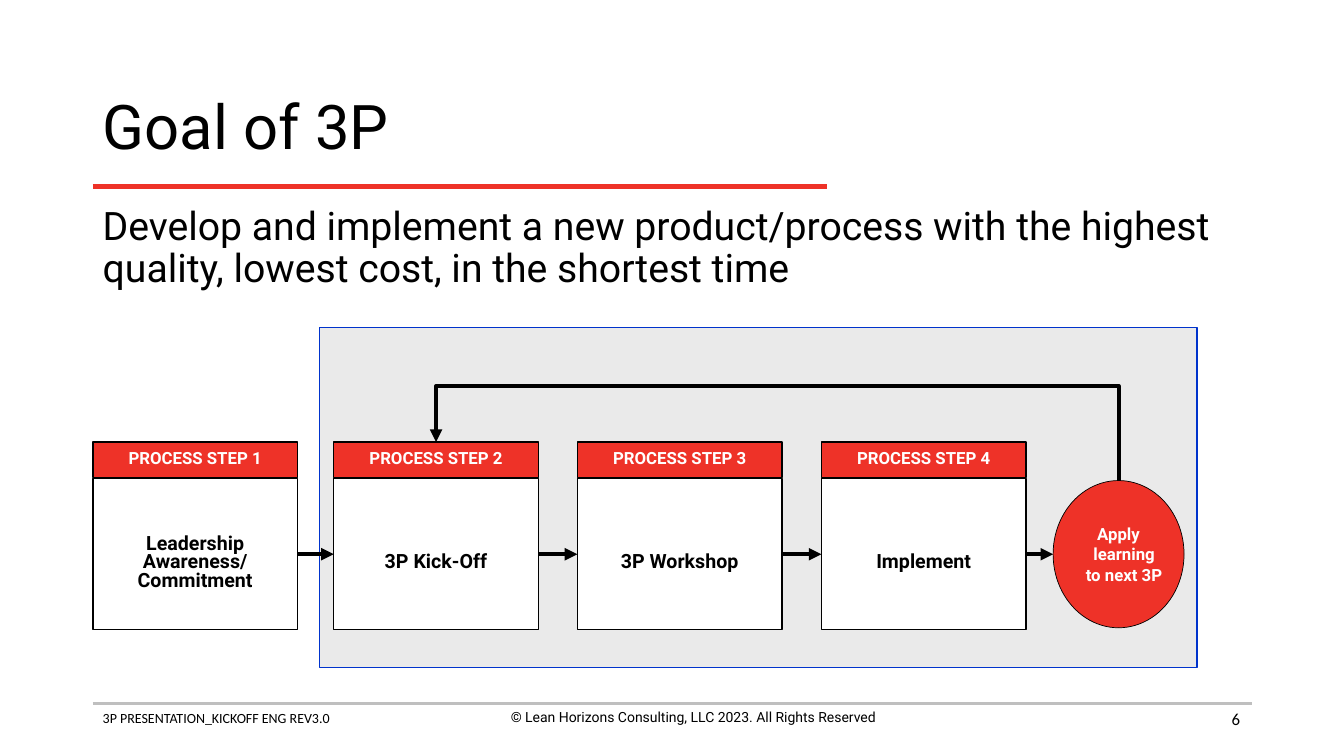
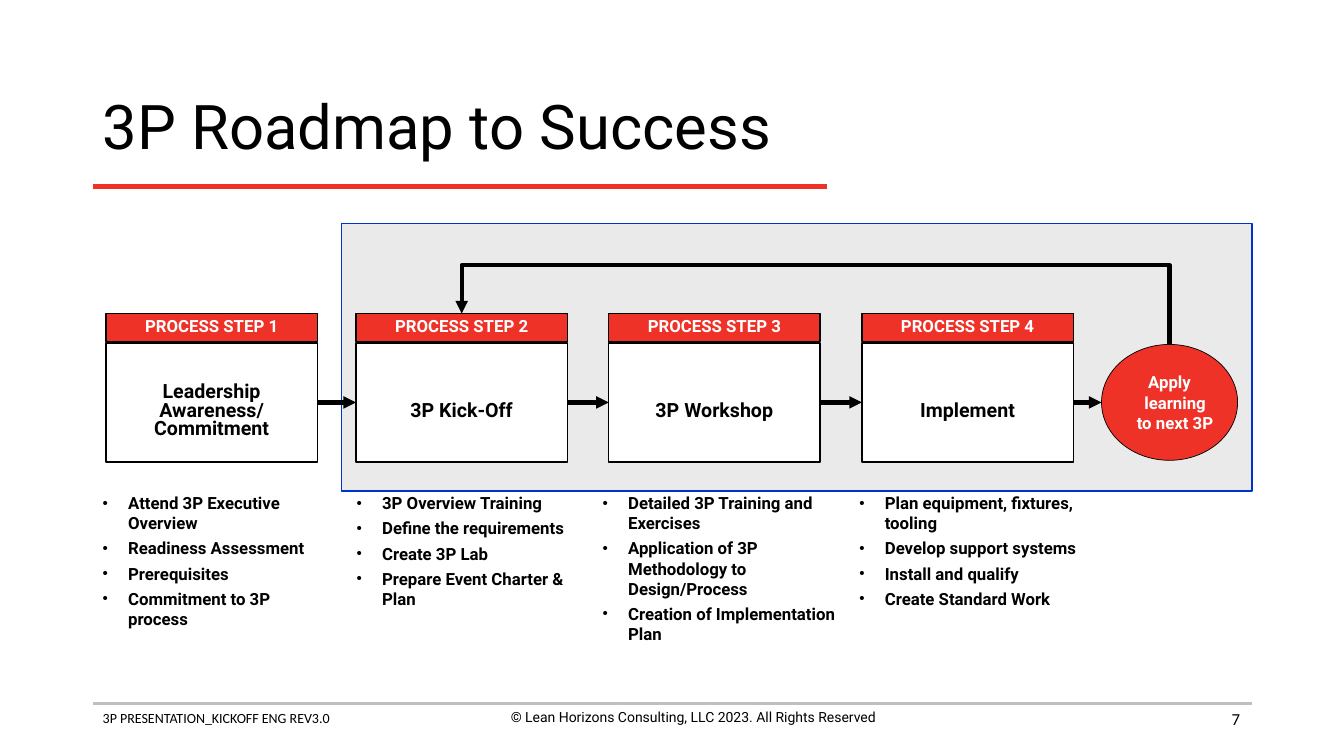
"""Builds two slides on the goal and the roadmap of a 3P process."""
from lxml import etree
from pptx import Presentation
from pptx import util as u
from pptx.dml.color import RGBColor
from pptx.enum import shapes, text
from pptx.oxml.ns import qn

RED, BLACK, WHITE, GREY = "EE3228", "000000", "FFFFFF", "EAEAEA"
hue = RGBColor.from_string
RECT, OVAL = shapes.MSO_SHAPE.RECTANGLE, shapes.MSO_SHAPE.OVAL
LINE, ELBOW = shapes.MSO_CONNECTOR.STRAIGHT, shapes.MSO_CONNECTOR.ELBOW
LEFT, MID, RIGHT = text.PP_ALIGN.LEFT, text.PP_ALIGN.CENTER, text.PP_ALIGN.RIGHT


def block(page, spot, lines=(), size=12, ink=BLACK, kind=None, fill=None, edge=BLACK,
          width=1, align=LEFT, space=1, bold=False, face="Roboto", anchor="MIDDLE",
          pad=(0.25, 0.13, 0.25, 0.13), hang=0, bullet=False):
    spot = [u.Cm(n) for n in spot]
    if kind is None:
        item = page.shapes.add_textbox(*spot)
    else:
        item = page.shapes.add_shape(kind, *spot)
        item.shadow.inherit = False
        item.fill.solid()
        item.fill.fore_color.rgb = hue(fill)
        item.line.color.rgb = hue(edge)
        item.line.width = u.Pt(width)
    frame = item.text_frame
    frame.word_wrap = kind is None
    frame.vertical_anchor = text.MSO_ANCHOR[anchor]
    (frame.margin_left, frame.margin_top,
     frame.margin_right, frame.margin_bottom) = [u.Cm(n) for n in pad]
    for i, line in enumerate(lines):
        para = frame.add_paragraph() if i else frame.paragraphs[0]
        prop = para._p.get_or_add_pPr()
        if hang:
            prop.set("marL", str(u.Cm(hang)))
            prop.set("indent", str(-u.Cm(hang)))
        if bullet:
            etree.SubElement(prop, qn("a:buSzPct")).set("val", "90000")
            etree.SubElement(prop, qn("a:buFont")).set("typeface", "Arial")
            etree.SubElement(prop, qn("a:buChar")).set("char", "•")
        para.alignment = align
        para.line_spacing = space
        if i:
            para.space_before = u.Pt(size * 0.3)
        for j, part in enumerate(line.split("\n")):
            if j:
                para.add_line_break()
            run = para.add_run()
            run.text = part
            run.font.size = u.Pt(size)
            run.font.name = face
            run.font.bold = bold
            run.font.color.rgb = hue(ink)


def link(page, ends, ink=BLACK, width=3, arrow=True, kind=LINE):
    item = page.shapes.add_connector(kind, *[u.Cm(n) for n in ends])
    item.line.color.rgb = hue(ink)
    item.line.width = u.Pt(width)
    prop = item.element.spPr
    if arrow:
        etree.SubElement(prop.find(qn("a:ln")), qn("a:tailEnd")).set("type", "triangle")
    etree.SubElement(prop, qn("a:effectLst"))
    return prop


steps = ["Leadership\nAwareness/\nCommitment", "3P Kick-Off", "3P Workshop", "Implement"]
tasks = [
    (2.34, 5.87, ["Attend 3P Executive Overview", "Readiness Assessment",
                  "Prerequisites", "Commitment to 3P process"]),
    (8.74, 6.45, ["3P Overview Training", "Define the requirements",
                  "Create 3P Lab", "Prepare Event Charter & Plan"]),
    (14.94, 6.45, ["Detailed 3P Training and Exercises",
                   "Application of 3P Methodology to Design/Process",
                   "Creation of Implementation Plan"]),
    (21.41, 6.4, ["Plan equipment, fixtures, tooling", "Develop support systems",
                  "Install and qualify", "Create Standard Work"]),
]
goal = ("Develop and implement a new product/process with the highest quality, "
        "lowest cost, in the shortest time")
plans = [
    dict(title="Goal of 3P", goal=goal, tasks=[], panel=(8.05, 8.26, 22.12, 8.56),
         xs=[2.34, 8.41, 14.55, 20.7], top=12.06, wide=5.16, tall=3.81, head=0.89,
         oval=(26.54, 3.3, 3.71), turn=9.73),
    dict(title="3P Roadmap to Success", goal="", tasks=tasks, panel=(8.61, 5.64, 22.94, 6.73),
         xs=[2.67, 8.97, 15.34, 21.72], top=8.64, wide=5.33, tall=3, head=0.71,
         oval=(27.76, 3.43, 2.92), turn=6.68),
]

deck = Presentation()
deck.slide_width, deck.slide_height = u.Cm(33.87), u.Cm(19.05)

for num, plan in enumerate(plans, 6):
    page = deck.slides.add_slide(deck.slide_layouts[6])
    link(page, (2.34, 17.73, 31.55, 17.73), "BFBFBF", 2, False)
    link(page, (2.34, 4.7, 20.83, 4.7), RED, 3, False)
    block(page, (2.34, 17.75, 11.58, 1.12), ["3P PRESENTATION_KICKOFF ENG REV3.0"], 10,
          face="Calibri", anchor="TOP")
    block(page, (11.68, 17.73, 11.58, 1.12),
          ["© Lean Horizons Consulting, LLC 2023. All Rights Reserved"], 10,
          align=MID, anchor="TOP")
    block(page, (23.88, 17.6, 7.62, 1.02), [str(num)], face="Calibri", align=RIGHT)
    block(page, (2.34, 1.88, 29.21, 2.79), [plan["title"]], 44, space=0.9)
    if plan["goal"]:
        block(page, (2.34, 5.08, 29.21, 2.6), [plan["goal"]], 28, space=0.9, anchor="TOP")

    xs, top, wide, tall, head = [plan[k] for k in ("xs", "top", "wide", "tall", "head")]
    left, span, high = plan["oval"]
    mid = top + tall / 2
    peak = mid - high / 2
    roof = top - head - 0.03

    block(page, plan["panel"], kind=RECT, fill=GREY, edge="0033CC")
    block(page, (left, peak, span, high), ["Apply\nlearning\nto next 3P"], ink=WHITE,
          kind=OVAL, fill=RED, width=0.5, align=MID, bold=True, pad=[0.13] * 4, hang=0.28)
    for i, (x, step) in enumerate(zip(xs, steps), 1):
        block(page, (x, top, wide, tall), [step], 14, kind=RECT, fill=WHITE, align=MID,
              space=0.8, bold=True, pad=(0.25, 0.59, 0.25, 0.13))
        block(page, (x, roof, wide, head), [f"PROCESS STEP {i}"], ink=WHITE, kind=RECT,
              fill=RED, align=MID, space=0.8, bold=True)
    for x, end in zip(xs, xs[1:] + [left]):
        link(page, (x + wide, mid, end, mid))

    start, stop = left + span / 2, xs[1] + wide / 2
    rise, run = peak - roof, start - stop
    cx, cy = (start + stop) / 2, (peak + roof) / 2
    prop = link(page, (cx - rise / 2, cy + run / 2, cx + rise / 2, cy - run / 2), kind=ELBOW)
    prop.find(qn("a:xfrm")).set("rot", "16200000")
    bend = etree.SubElement(prop.find(qn("a:prstGeom")).find(qn("a:avLst")), qn("a:gd"))
    bend.set("name", "adj1")
    bend.set("fmla", f"val {round((peak - plan['turn']) / rise * 100000)}")

    for x, room, lines in plan["tasks"]:
        block(page, (x, 12.29, room, 4.6), lines, bold=True, anchor="TOP", hang=0.64,
              bullet=True)

deck.save("out.pptx")
